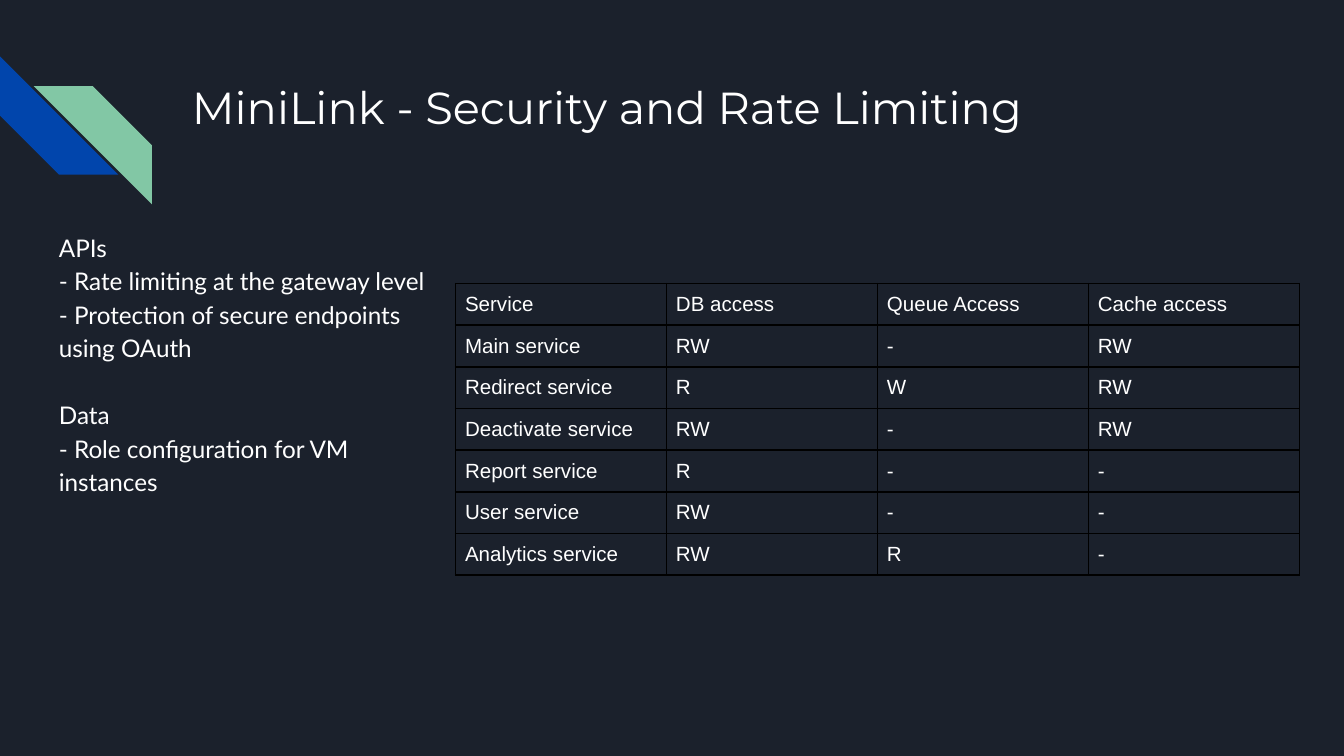
from lxml.etree import SubElement
from pptx import Presentation
from pptx.dml.color import RGBColor
from pptx.enum.shapes import MSO_SHAPE
from pptx.enum.text import MSO_ANCHOR
from pptx.oxml.ns import qn
from pptx.util import Inches, Pt

NAVY = RGBColor(0x1B, 0x21, 0x2C)
BLUE = RGBColor(0x01, 0x45, 0xAC)
GREEN = RGBColor(0x82, 0xC7, 0xA5)
WHITE = RGBColor(0xFF, 0xFF, 0xFF)
BLACK = RGBColor(0x00, 0x00, 0x00)

TITLE = "MiniLink - Security and Rate Limiting"
SECTIONS = [
    ("APIs", ["Rate limiting at the gateway level",
              "Protection of secure endpoints using OAuth"]),
    ("Data", ["Role configuration for VM instances"]),
]
ACCESS = [
    ("Service", "DB access", "Queue Access", "Cache access"),
    ("Main service", "RW", "-", "RW"),
    ("Redirect service", "R", "W", "RW"),
    ("Deactivate service", "RW", "-", "RW"),
    ("Report service", "R", "-", "-"),
    ("User service", "RW", "-", "-"),
    ("Analytics service", "RW", "R", "-"),
]


def add_span(para, text, font, size):
    span = para.add_run()
    span.text = text
    span.font.name = font
    span.font.size = Pt(size)
    span.font.color.rgb = WHITE


def add_text_frame(page, left, top, width, height):
    box = page.shapes.add_textbox(Inches(left), Inches(top), Inches(width), Inches(height))
    frame = box.text_frame
    frame.word_wrap = True
    frame.margin_left = frame.margin_right = Inches(0.1)
    frame.margin_top = frame.margin_bottom = Inches(0.1)
    return frame


def add_stripe(page, left, top, size, color):
    stripe = page.shapes.add_shape(MSO_SHAPE.DIAGONAL_STRIPE, Inches(left), Inches(top),
                                   Inches(size), Inches(size))
    stripe.adjustments[0] = 0.5
    stripe.shadow.inherit = False
    stripe.fill.solid()
    stripe.fill.fore_color.rgb = color
    stripe.line.fill.background()
    return stripe


def add_corner_stripes(page, left, top):
    size = 0.88
    lower = add_stripe(page, left, top, size, BLUE)
    lower.rotation = 270
    upper = add_stripe(page, left + 0.25, top + 0.22, size, GREEN)
    upper.element.spPr.get_or_add_xfrm().set("flipH", "1")


def add_title(page, left, top, width, height):
    frame = add_text_frame(page, left, top, width, height)
    add_span(frame.paragraphs[0], TITLE, "Montserrat", 24)


def add_notes_column(page, left, top, width, height):
    frame = add_text_frame(page, left, top, width, height)
    para = frame.paragraphs[0]
    for number, (heading, points) in enumerate(SECTIONS):
        for line, text in enumerate([heading] + [f"- {point}" for point in points]):
            if number or line:
                para = frame.add_paragraph()
            para.line_spacing = 1.15
            # One line of space between sections
            if number and not line:
                para.space_before = Pt(18)
            add_span(para, text, "Lato", 13)


def add_borders(cell):
    properties = cell._tc.get_or_add_tcPr()
    for side in ("a:lnL", "a:lnR", "a:lnT", "a:lnB"):
        line = SubElement(properties, qn(side), w=str(Pt(1)))
        fill = SubElement(line, qn("a:solidFill"))
        SubElement(fill, qn("a:srgbClr"), val=str(BLACK))


def add_access_table(page, left, top, column_width, row_height):
    rows, columns = len(ACCESS), len(ACCESS[0])
    table = page.shapes.add_table(rows, columns, Inches(left), Inches(top),
                                  Inches(column_width * columns),
                                  Inches(row_height * rows)).table
    table.first_row = table.horz_banding = False
    for column in table.columns:
        column.width = Inches(column_width)
    for row, texts in zip(table.rows, ACCESS):
        row.height = Inches(row_height)
        for cell, text in zip(row.cells, texts):
            cell.margin_left = cell.margin_right = cell.margin_top = Inches(0.07)
            # A smaller bottom margin keeps the row at its set height
            cell.margin_bottom = Inches(0.05)
            cell.vertical_anchor = MSO_ANCHOR.TOP
            add_borders(cell)
            cell.fill.background()
            add_span(cell.text_frame.paragraphs[0], text, "Arial", 11)


def main():
    deck = Presentation()
    # Widescreen, 16:9
    deck.slide_width = Inches(10)
    deck.slide_height = deck.slide_width * 9 // 16
    page = deck.slides.add_slide(deck.slide_layouts[6])
    page.background.fill.solid()
    page.background.fill.fore_color.rgb = NAVY

    # Header
    add_corner_stripes(page, 0, 0.42)
    add_title(page, 1.33, 0.49, 8.33, 0.94)
    # Body
    add_notes_column(page, 0.34, 1.6, 2.99, 3.31)
    add_access_table(page, 3.39, 2.11, 1.57, 0.31)

    deck.save("out.pptx")


if __name__ == "__main__":
    main()
